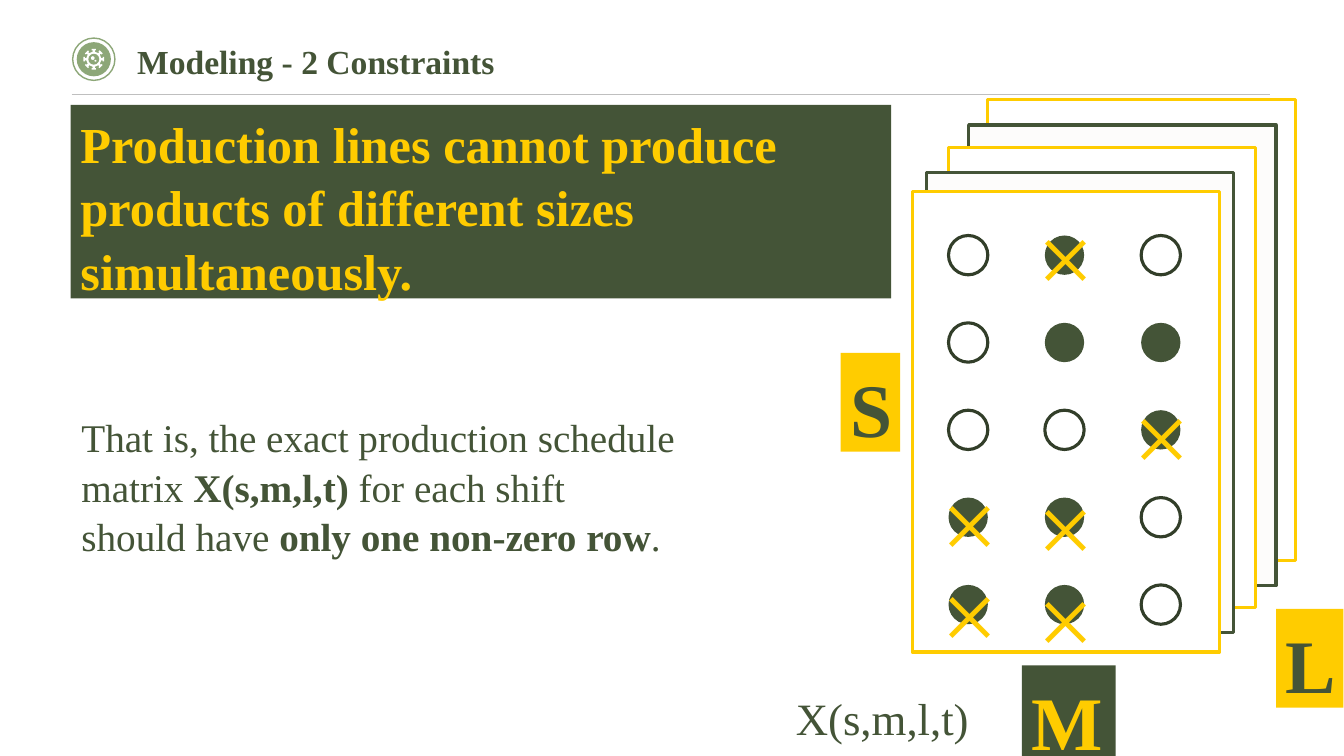
from dataclasses import dataclass
from math import cos, pi, sin
from typing import Optional

from lxml.etree import SubElement
from pptx import Presentation
from pptx.dml.color import RGBColor
from pptx.enum.shapes import MSO_CONNECTOR, MSO_SHAPE
from pptx.enum.text import MSO_ANCHOR, MSO_AUTO_SIZE, PP_ALIGN
from pptx.oxml.ns import qn
from pptx.util import Pt

FONT = "Times New Roman"
COLORS = {
    "green": "445437", "outline": "323E29", "sage": "8DA778", "yellow": "FFCC00",
    "white": "FFFFFF", "cream": "FDFCFB", "gray": "BFBFBF",
}


@dataclass
class Box:
    left: float
    top: float
    width: float
    height: float


@dataclass
class Panel:
    left: float
    top: float
    fill: str
    line: str


@dataclass
class Label:
    text: str
    box: Box
    size: float
    color: str
    fill: Optional[str] = None
    bold: bool = False
    align: PP_ALIGN = PP_ALIGN.LEFT


@dataclass
class Cross:
    column: int
    top: float


# Production lines, from back to front
PANELS = [
    Panel(705.6, 71.3, "white", "yellow"),
    Panel(691.9, 89.3, "cream", "green"),
    Panel(677.5, 105.1, "white", "yellow"),
    Panel(661.7, 123.1, "cream", "green"),
    Panel(651.6, 136.8, "white", "yellow"),
]
PANEL_WIDTH, PANEL_HEIGHT = 219.6, 329

# Schedule matrix: 1 is a filled dot, 0 an open one
MATRIX = ["010", "011", "001", "110", "110"]
DOT_LEFT, DOT_TOP, DOT_SIZE = 677.5, 168.2, 28.1
COLUMN_STEP, ROW_STEP = 68.8, 62.4
CROSSES = [Cross(1, 130.3), Cross(2, 258.5), Cross(1, 323.3),
           Cross(0, 320.4), Cross(0, 385.2), Cross(1, 388.8)]
CROSS_WIDTH, CROSS_HEIGHT = 84.2, 77

LABELS = [
    Label("Production lines cannot produce\nproducts of different sizes\nsimultaneously.",
          Box(50.4, 74.9, 586.1, 138.2), 36, "yellow", "green", True),
    Label("X(s,m,l,t)", Box(548.6, 488.2, 163.4, 40.3), 32, "green", align=PP_ALIGN.CENTER),
    Label("M", Box(729.9, 475.2, 67, 66.2), 54, "yellow", "green", True),
    Label("S", Box(600.5, 252, 42.5, 70.6), 54, "green", "yellow", True),
    Label("L", Box(911.5, 434.9, 48.2, 70.6), 54, "green", "yellow", True),
]

# Each paragraph is a list of (text, bold) runs
EXPLANATION = [
    [("That is, the exact production schedule", False)],
    [("matrix ", False), ("X(s,m,l,t) ", True), ("for each shift", False)],
    [("should have ", False), ("only one non-zero row", True), (".", False)],
]


def rgb(name: str) -> RGBColor:
    return RGBColor.from_string(COLORS[name])


def paint(shape, fill: Optional[str], line: Optional[str] = None, weight: float = 2.25) -> None:
    shape.shadow.inherit = False
    if fill:
        shape.fill.solid()
        shape.fill.fore_color.rgb = rgb(fill)
    else:
        shape.fill.background()
    if line:
        shape.line.color.rgb = rgb(line)
        shape.line.width = Pt(weight)
    else:
        shape.line.fill.background()


def add_preset(slide, kind: MSO_SHAPE, box: Box, fill: Optional[str],
               line: Optional[str] = None, weight: float = 2.25):
    shape = slide.shapes.add_shape(kind, Pt(box.left), Pt(box.top), Pt(box.width), Pt(box.height))
    paint(shape, fill, line, weight)
    return shape


def add_circle(slide, x: float, y: float, radius: float, fill: Optional[str],
               line: Optional[str] = None, weight: float = 2.25) -> None:
    box = Box(x - radius, y - radius, 2 * radius, 2 * radius)
    add_preset(slide, MSO_SHAPE.OVAL, box, fill, line, weight)


def add_text_box(slide, box: Box):
    return slide.shapes.add_textbox(Pt(box.left), Pt(box.top), Pt(box.width), Pt(box.height))


def format_frame(text_frame, align: PP_ALIGN, spacing: float = 1.05) -> None:
    text_frame.word_wrap = True
    text_frame.auto_size = MSO_AUTO_SIZE.NONE
    text_frame.vertical_anchor = MSO_ANCHOR.TOP
    for paragraph in text_frame.paragraphs:
        paragraph.alignment = align
        paragraph.line_spacing = spacing
        paragraph.space_before = Pt(0)


def format_run(run, size: float, color: str, bold: bool) -> None:
    run.font.name = FONT
    run.font.size = Pt(size)
    run.font.bold = bold
    run.font.color.rgb = rgb(color)


def add_label(slide, label: Label) -> None:
    if label.fill:
        shape = add_preset(slide, MSO_SHAPE.RECTANGLE, label.box, label.fill)
    else:
        shape = add_text_box(slide, label.box)
    shape.text_frame.text = label.text
    format_frame(shape.text_frame, label.align)
    for paragraph in shape.text_frame.paragraphs:
        for run in paragraph.runs:
            format_run(run, label.size, label.color, label.bold)


def add_explanation(slide, box: Box) -> None:
    text_frame = add_text_box(slide, box).text_frame
    for index, parts in enumerate(EXPLANATION):
        paragraph = text_frame.add_paragraph() if index else text_frame.paragraphs[0]
        for text, bold in parts:
            run = paragraph.add_run()
            run.text = text
            format_run(run, 28, "green", bold)
    format_frame(text_frame, PP_ALIGN.JUSTIFY)


def add_gear_badge(slide, x: float, y: float) -> None:
    add_circle(slide, x, y, 15.1, None, "sage", 1)
    add_circle(slide, x, y, 12.2, "sage")
    # Eight T-shaped teeth: (radius, degrees from the middle of the tooth)
    profile = [(5.4, -8), (6.5, -7), (6.5, -14), (7.6, -12),
               (7.6, 12), (6.5, 14), (6.5, 7), (5.4, 8)]
    points = []
    for tooth in range(8):
        for radius, degrees in profile:
            angle = tooth * pi / 4 + degrees * pi / 180
            points.append((Pt(x + radius * cos(angle)), Pt(y + radius * sin(angle))))
    builder = slide.shapes.build_freeform(*points[0])
    builder.add_line_segments(points[1:], close=True)
    paint(builder.convert_to_shape(), "white")
    add_circle(slide, x, y, 3.9, "sage")
    add_circle(slide, x - 0.7, y - 0.8, 1.3, "white")
    add_circle(slide, x + 1.2, y + 1.1, 0.7, "white")


def add_header(slide) -> None:
    add_gear_badge(slide, 67, 42.3)
    rule = slide.shapes.add_connector(MSO_CONNECTOR.STRAIGHT, Pt(51.2), Pt(67.2), Pt(907.2), Pt(67.2))
    rule.line.color.rgb = rgb("gray")
    rule.line.width = Pt(0.5)
    SubElement(rule._element.spPr, qn("a:effectLst"))
    title = slide.shapes.title
    title.left, title.top, title.width, title.height = Pt(97.9), Pt(23), Pt(702.7), Pt(75.6)
    title.text_frame.text = "Modeling - 2 Constraints"
    title.text_frame.margin_left = 0
    format_frame(title.text_frame, PP_ALIGN.LEFT, 1.1)
    format_run(title.text_frame.paragraphs[0].runs[0], 24, "green", True)


def add_matrix(slide) -> None:
    for panel in PANELS:
        box = Box(panel.left, panel.top, PANEL_WIDTH, PANEL_HEIGHT)
        add_preset(slide, MSO_SHAPE.RECTANGLE, box, panel.fill, panel.line)
    for row, cells in enumerate(MATRIX):
        for column, cell in enumerate(cells):
            box = Box(DOT_LEFT + column * COLUMN_STEP, DOT_TOP + row * ROW_STEP, DOT_SIZE, DOT_SIZE)
            fill, line = ("green", None) if cell == "1" else (None, "outline")
            add_preset(slide, MSO_SHAPE.OVAL, box, fill, line)
    for cross in CROSSES:
        left = DOT_LEFT + cross.column * COLUMN_STEP - 27
        box = Box(left, cross.top, CROSS_WIDTH, CROSS_HEIGHT)
        add_label(slide, Label("×", box, 72, "yellow", align=PP_ALIGN.CENTER))


def main() -> None:
    presentation = Presentation()
    presentation.slide_width, presentation.slide_height = Pt(960), Pt(540)
    slide = presentation.slides.add_slide(presentation.slide_layouts[5])
    add_header(slide)
    add_matrix(slide)
    for label in LABELS:
        add_label(slide, label)
    add_explanation(slide, Box(51.1, 290.2, 530.6, 139))
    presentation.save("out.pptx")


if __name__ == "__main__":
    main()
